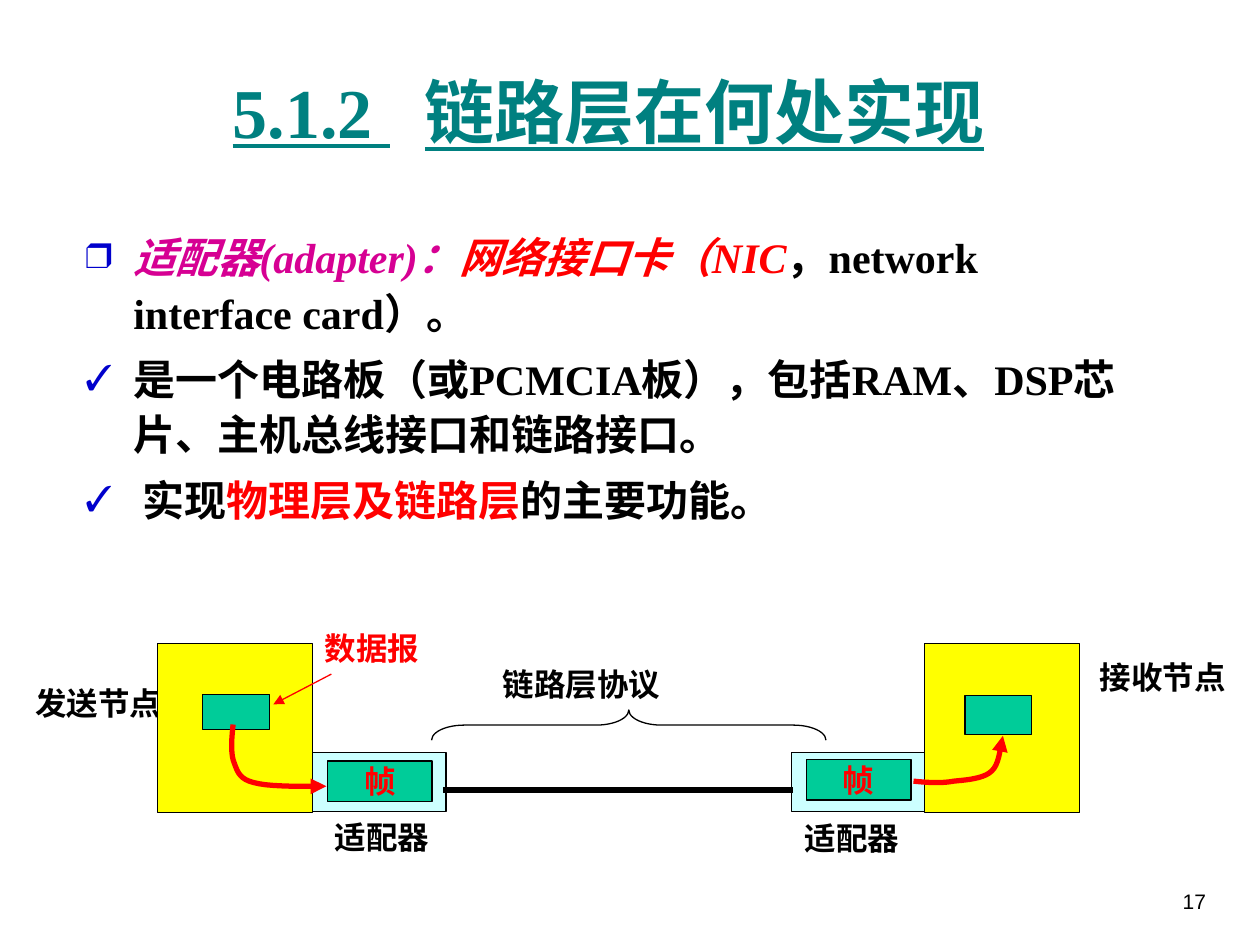
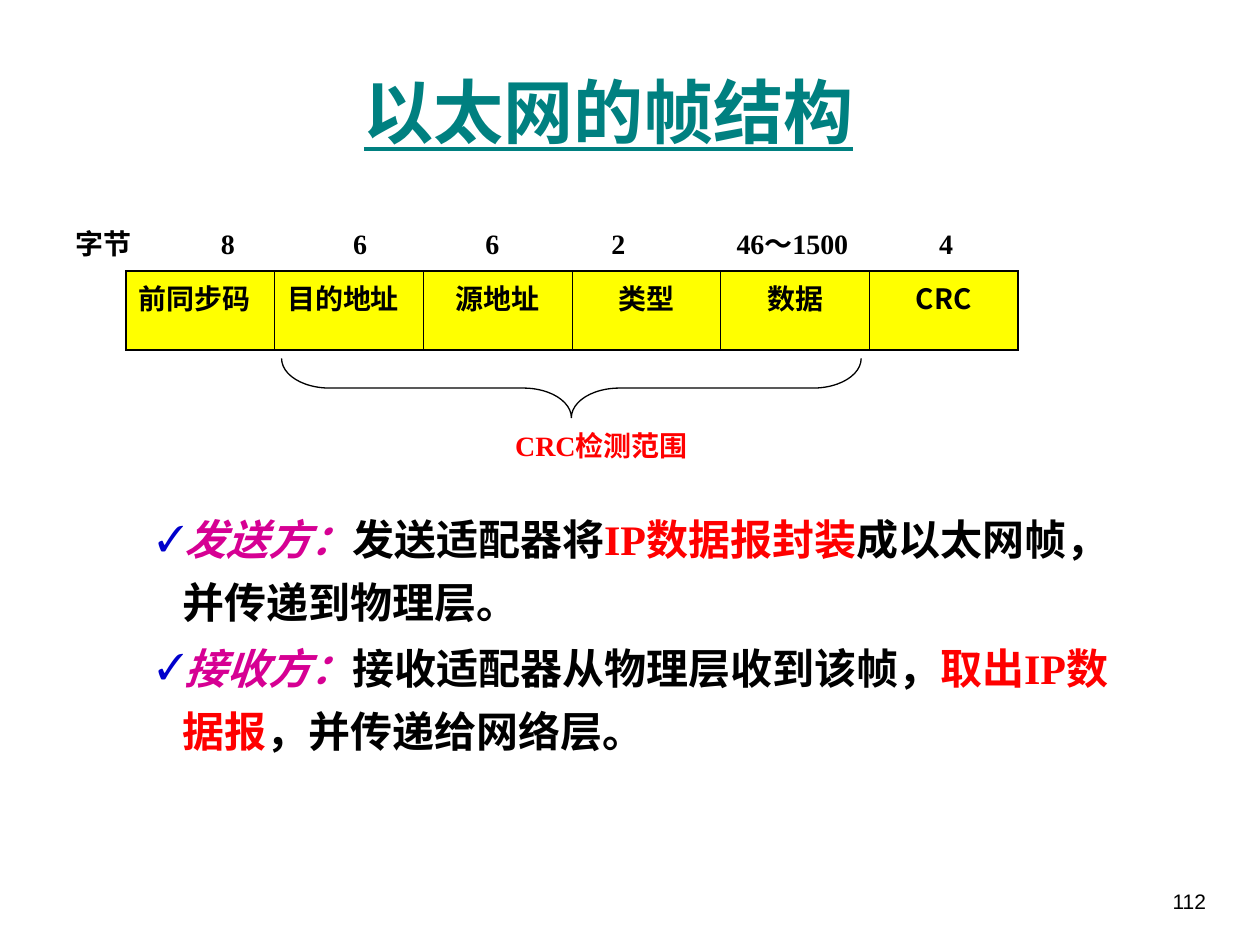
from lxml import etree
from pptx import Presentation
from pptx import util as u
from pptx.dml.color import RGBColor
from pptx.enum import shapes, text
from pptx.oxml import ns

BLACK = RGBColor(0x00, 0x00, 0x00)
WHITE = RGBColor(0xFF, 0xFF, 0xFF)
RED = RGBColor(0xFF, 0x00, 0x00)
TEAL = RGBColor(0x00, 0x80, 0x80)
MAGENTA = RGBColor(0xD6, 0x00, 0x93)
YELLOW = RGBColor(0xFF, 0xFF, 0x00)
GREEN = RGBColor(0x00, 0xCC, 0x99)
PALE_CYAN = RGBColor(0xCC, 0xFF, 0xFF)
BULLET_BLUE = "0000CC"

SERIF, COMIC, SANS, CJK = "Times New Roman", "Comic Neue", "Arial", "Noto Sans CJK SC"
LEFT, CENTER, RIGHT = text.PP_ALIGN.LEFT, text.PP_ALIGN.CENTER, text.PP_ALIGN.RIGHT
MIDDLE, TOP = text.MSO_ANCHOR.MIDDLE, text.MSO_ANCHOR.TOP
RECT, BRACE = shapes.MSO_SHAPE.RECTANGLE, shapes.MSO_SHAPE.LEFT_BRACE


def write(paragraph, runs, size, font, bold=True, underline=False, align=LEFT):
    """Fill a paragraph with (text, colour) or (text, colour, italic) runs."""
    paragraph.alignment = align
    for words, color, *italic in runs:
        run = paragraph.add_run()
        run.text = words
        run.font.size, run.font.name = u.Pt(size), font
        run.font.bold, run.font.underline = bold, underline
        run.font.italic = bool(italic)
        run.font.color.rgb = color
        etree.SubElement(run.font._element, ns.qn("a:ea"), typeface=CJK)


def outline(shape, color=BLACK, width=0.75, fill=None, arrow=False):
    """Set line, fill and arrowhead, and take the shadow away."""
    shape.line.color.rgb = color
    shape.line.width = u.Pt(width)
    if arrow:
        etree.SubElement(shape.line._get_or_add_ln(), ns.qn("a:tailEnd"), type="triangle")
    if not hasattr(shape, "fill"):
        etree.SubElement(shape._element.spPr, ns.qn("a:effectLst"))
        return
    shape.shadow.inherit = False
    if fill is None:
        shape.fill.background()
    else:
        shape.fill.solid()
        shape.fill.fore_color.rgb = fill


prs = Presentation()
prs.slide_width, prs.slide_height = u.Inches(10), u.Inches(7.5)

# Both slides: title, page number and checked list
pages = [
    {
        "title": ["5.1.2", " ", "链路层在何处实现"], "number": "17",
        "body": (0.58, 1.75, 8.62, 2.57), "indent": 0.38, "spacing": 1.1, "before": 6,
        "points": [
            ("❒", [("适配器(adapter)：", MAGENTA, True), ("网络接口卡（NIC", RED, True),
                   ("，network interface card）。", BLACK)]),
            ("✓", [("是一个电路板（或PCMCIA板），包括RAM、DSP芯片、主机总线接口和链路接口。", BLACK)]),
            ("✓", [(" 实现", BLACK), ("物理层及链路层", RED), ("的主要功能。", BLACK)]),
        ],
    },
    {
        "title": ["以太网的帧结构"], "number": "112",
        "body": (1.15, 3.93, 7.97, 2.12), "indent": 0.2, "spacing": 1.25, "before": 1.5,
        "points": [
            ("✓", [("发送方：", MAGENTA, True), ("发送适配器将", BLACK),
                   ("IP数据报封装", RED), ("成以太网帧，并传递到物理层。", BLACK)]),
            ("✓", [("接收方：", MAGENTA, True), ("接收适配器从物理层收到该帧，", BLACK),
                   ("取出IP数据报", RED), ("，并传递给网络层。", BLACK)]),
        ],
    },
]
slides = []
for page in pages:
    slide = prs.slides.add_slide(prs.slide_layouts[6])
    slides.append(slide)

    number = slide.shapes.add_textbox(*map(u.Inches, (8.93, 7, 0.74, 0.5))).text_frame
    number.word_wrap = True
    write(number.paragraphs[0], [(page["number"], BLACK)], 12, SANS, bold=False, align=RIGHT)

    title = slide.shapes.add_textbox(*map(u.Inches, (0.58, 0.25, 8.5, 1.25))).text_frame
    title.word_wrap, title.vertical_anchor = True, MIDDLE
    write(title.paragraphs[0], [(part, TEAL) for part in page["title"]], 40, SERIF,
          underline=True, align=CENTER)
    for run in title.paragraphs[0].runs:
        if run.text == " ":  # widen the gap after the section number
            run.font._element.set("spc", "2000")

    body = slide.shapes.add_textbox(*map(u.Inches, page["body"])).text_frame
    body.word_wrap = True
    for i, (mark, runs) in enumerate(page["points"]):
        point = body.add_paragraph() if i else body.paragraphs[0]
        props = point._p.get_or_add_pPr()
        indent = u.Inches(page["indent"])
        props.set("marL", str(indent))
        props.set("indent", str(-indent))
        bullet_color = etree.SubElement(props, ns.qn("a:buClr"))
        etree.SubElement(bullet_color, ns.qn("a:srgbClr"), val=BULLET_BLUE)
        etree.SubElement(props, ns.qn("a:buSzPct"), val="85000")
        etree.SubElement(props, ns.qn("a:buFont"), typeface=SERIF)
        etree.SubElement(props, ns.qn("a:buChar"), char=mark)
        point.line_spacing = page["spacing"]
        if i:
            point.space_before = u.Pt(page["before"])
        write(point, runs, 24, SERIF)
link_slide, frame_slide = slides

# Link diagram: labels
for words, color, left, top, width in [
    ("发送节点", BLACK, 0.18, 5.38, 1.2),
    ("接收节点", BLACK, 8.63, 5.17, 1.2),
    ("数据报", RED, 2.48, 4.94, 0.95),
    ("适配器", BLACK, 2.56, 6.44, 0.95),
    ("适配器", BLACK, 6.29, 6.45, 0.95),
    ("链路层协议", BLACK, 3.89, 5.23, 1.45),
]:
    label = link_slide.shapes.add_textbox(*map(u.Inches, (left, top, width, 0.4))).text_frame
    label.word_wrap = False
    write(label.paragraphs[0], [(words, color)], 18, COMIC)

# Link diagram: hosts, datagrams, adapters and frames on both ends
for adapter_left, frame_top, host_left, datagram in [
    (2.48, 6.04, 1.25, (1.61, 5.51, 0.53, 0.28)),
    (6.28, 6.03, 7.34, (7.66, 5.52, 0.53, 0.31)),
]:
    for words, box, fill in [
        ("", (adapter_left, 5.97, 1.06, 0.47), PALE_CYAN),
        ("帧", (adapter_left + 0.12, frame_top, 0.83, 0.32), GREEN),
        ("", (host_left, 5.11, 1.23, 1.34), YELLOW),
        ("", datagram, GREEN),
    ]:
        block = link_slide.shapes.add_shape(RECT, *map(u.Inches, box))
        outline(block, fill=fill)
        if words:
            block.text_frame.word_wrap = False
            block.text_frame.vertical_anchor = MIDDLE
            write(block.text_frame.paragraphs[0], [(words, RED)], 18, COMIC, align=CENTER)

# Link diagram: the link and the pointer to the datagram
for ends, color, width, arrow in [
    ((3.52, 6.27, 6.29, 6.27), BLACK, 3, False),
    ((2.63, 5.35, 2.17, 5.59), RED, 0.75, True),
]:
    link = link_slide.shapes.add_connector(shapes.MSO_CONNECTOR.STRAIGHT, *map(u.Inches, ends))
    outline(link, color, width, arrow=arrow)

# Link diagram: data paths, each a chain of cubic curves
STEPS = 10
for knots in [
    [(1.85, 5.75), (1.84, 5.85), (1.83, 5.95), (1.85, 6.03), (1.88, 6.11),
     (1.89, 6.18), (2.01, 6.21), (2.14, 6.25), (2.49, 6.24), (2.59, 6.24)],
    [(7.25, 6.2), (7.36, 6.21), (7.46, 6.22), (7.57, 6.2), (7.67, 6.19),
     (7.81, 6.18), (7.87, 6.12), (7.94, 6.06), (7.94, 5.89), (7.96, 5.84)],
]:
    curve = []
    for start in range(0, len(knots) - 1, 3):
        for step in range(1, STEPS + 1):
            t = step / STEPS
            weights = ((1 - t) ** 3, 3 * t * (1 - t) ** 2, 3 * t * t * (1 - t), t ** 3)
            segment = knots[start:start + 4]
            curve.append(tuple(u.Inches(sum(w * knot[axis] for w, knot in zip(weights, segment)))
                               for axis in (0, 1)))
    builder = link_slide.shapes.build_freeform(*map(u.Inches, knots[0]))
    builder.add_line_segments(curve, close=False)
    outline(builder.convert_to_shape(), RED, 3, arrow=True)

# Frame format: CRC range, and byte counts on centred tab stops
counts = [("8", 1.21), ("6", 2.26), ("6", 3.31), ("2", 4.31), ("46～1500", 5.69), ("4", 6.91)]
byte_text = "\t".join(["字节"] + [count for count, _ in counts])
for words, color, box, stops in [
    ("CRC检测范围", RED, (3.99, 3.35, 1.81, 0.4), []),
    (byte_text, BLACK, (0.5, 1.75, 7.58, 0.41), [stop for _, stop in counts]),
]:
    caption = frame_slide.shapes.add_shape(RECT, *map(u.Inches, box))
    outline(caption, fill=WHITE)
    caption.line.fill.background()
    caption.text_frame.word_wrap, caption.text_frame.vertical_anchor = True, TOP
    line = caption.text_frame.paragraphs[0]
    if stops:
        tabs = etree.SubElement(line._p.get_or_add_pPr(), ns.qn("a:tabLst"))
        for stop in stops:
            etree.SubElement(tabs, ns.qn("a:tab"), pos=str(u.Inches(stop)), algn="ctr")
    write(line, [(words, color)], 16, SERIF)

# Braces: link protocol span and CRC span
for slide, box, turn, bend in [
    (link_slide, (4.87, 4.19, 0.24, 3.13), 90, 1.08),
    (frame_slide, (4.3, 0.78, 0.47, 4.6), 270, 0.81),
]:
    brace = slide.shapes.add_shape(BRACE, *map(u.Inches, box))
    brace.rotation = turn
    brace.adjustments[0] = bend
    outline(brace)

# Frame format: fields
fields = [("前同步码", LEFT), ("目的地址", LEFT), ("源地址", CENTER),
          ("类型", CENTER), ("数据", CENTER), ("CRC", CENTER)]
table = frame_slide.shapes.add_table(
    1, len(fields), *map(u.Inches, (1, 2.15, 7.08, 0.63))).table
table.first_row = table.horz_banding = False
table.rows[0].height = u.Inches(0.63)
for column, (field, align) in enumerate(fields):
    table.columns[column].width = u.Inches(1.18)
    cell = table.cell(0, column)
    cell.vertical_anchor = TOP
    outer = {"lnT", "lnB"}
    if column == 0:
        outer.add("lnL")
    if column == len(fields) - 1:
        outer.add("lnR")
    for side in ("lnL", "lnR", "lnT", "lnB"):
        width = u.Pt(1.08 if side in outer else 0.45)
        border = etree.SubElement(cell._tc.get_or_add_tcPr(), ns.qn("a:" + side), w=str(width))
        border_fill = etree.SubElement(border, ns.qn("a:solidFill"))
        etree.SubElement(border_fill, ns.qn("a:srgbClr"), val=str(BLACK))
    cell.fill.solid()
    cell.fill.fore_color.rgb = YELLOW
    write(cell.text_frame.paragraphs[0], [(field, BLACK)], 16, CJK, align=align)

prs.save("out.pptx")
